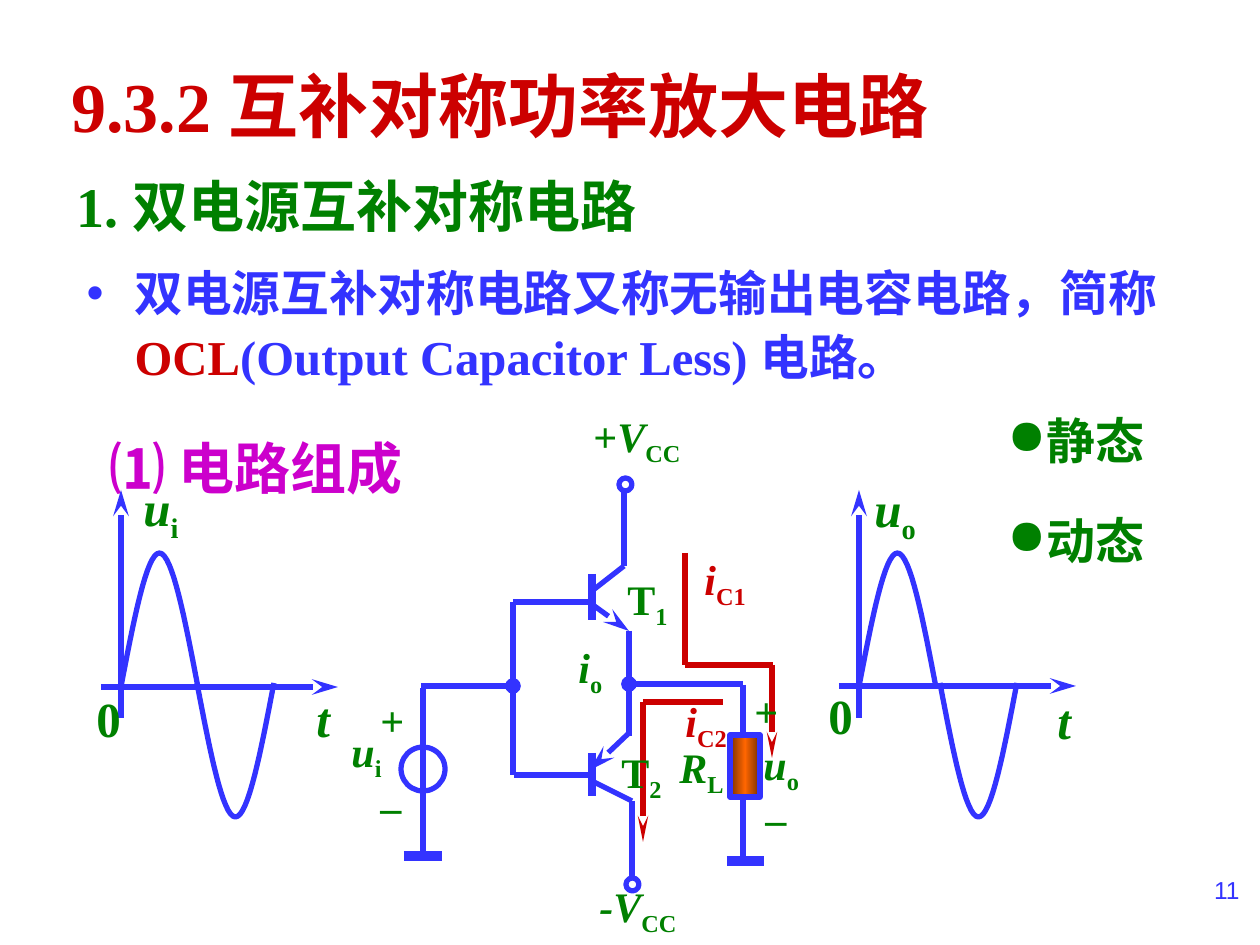
"""Build the slide on the complementary symmetric (OCL) power amplifier circuit."""
from copy import deepcopy

from lxml.etree import SubElement
from pptx import Presentation
from pptx.dml.color import RGBColor
from pptx.enum.shapes import MSO_CONNECTOR as CONNECTOR, MSO_SHAPE as SHAPE
from pptx.enum.text import MSO_ANCHOR as ANCHOR, MSO_AUTO_SIZE as AUTO_SIZE, PP_ALIGN as ALIGN
from pptx.oxml.ns import qn
from pptx.util import Emu, Pt

PX = 914400 / 126
BLUE = RGBColor(0x33, 0x33, 0xFF)
GREEN = RGBColor(0x00, 0x80, 0x00)
RED = RGBColor(0xCC, 0x00, 0x00)
PURPLE = RGBColor(0xCC, 0x00, 0xCC)
WHITE = RGBColor(0xFF, 0xFF, 0xFF)
BROWN = RGBColor(0x76, 0x2F, 0x00)
ORANGE = RGBColor(0xFF, 0x66, 0x00)

TITLE = ((64, 145, 1071, 120), "1. 双电源互补对称电路")
BODY = ((74, 251, 1134, 142), [
    ("双电源互补对称电路又称无输出电容电路，简称", BLUE),
    ("OCL", RED),
    ("(Output Capacitor Less) 电路。", BLUE),
])
HEADINGS = [
    ((59, 26, 1071, 158), "9.3.2 互补对称功率放大电路", 40, RED),
    ((97, 423, 546, 88), "⑴ 电路组成", 32, PURPLE),
]
STATES = [((995, 404, 217, 72), "静态"), ((995, 504, 236, 72), "动态")]
PAGE_NUMBER = ((958, 869, 294, 66), "11")

PLAIN, ITALIC, SUB = {}, {"italic": True}, {"subscript": True}
WAVES = [
    {"origin": (121, 687), "axis_y": 687, "second_half": 197,
     "labels": [((131, 471, 77, 81), [("u", ITALIC), ("i", SUB)]),
                ((84, 682, 71, 58), [("0", PLAIN)]),
                ((304, 682, 59, 64), [("t", ITALIC)])]},
    {"origin": (859, 687), "axis_y": 686, "second_half": 940,
     "labels": [((862, 472, 77, 72), [("u", ITALIC), ("o", SUB)]),
                ((816, 679, 71, 63), [("0", PLAIN)]),
                ((1045, 684, 53, 59), [("t", ITALIC)])]},
]
HALF_WIDTH, AMPLITUDE, STEPS = 77, 134, 16

ARROW, SLIM_ARROW, DOT = ("stealth", "med", "lg"), ("stealth", "sm", "lg"), ("oval", "med", "med")
CIRCUIT_WIRES = [
    ((513, 602), (592, 602), 3, None),
    ((592, 574), (592, 620), 4.5, None),
    ((592, 591), (624, 566), 3, None),
    ((593, 605), (629, 631), 3, ARROW),
    ((624, 566), (624, 488), 3, None),
    ((629, 631), (629, 736), 3, None),
    ((592, 753), (592, 796), 4.5, None),
    ((629, 733), (590, 770), 3, ARROW),
    ((592, 781), (632, 801), 3, None),
    ((632, 801), (632, 879), 3, None),
    ((592, 775), (514, 775), 3, None),
    ((513, 775), (513, 602), 3, None),
    ((421, 686), (513, 686), 3, DOT),
    ((423, 688), (423, 858), 3, None),
    ((404, 856), (442, 856), 6, None),
    ((743, 684), (629, 684), 3, DOT),
    ((743, 685), (743, 861), 3, None),
    ((727, 861), (764, 861), 6, None),
]
CURRENT_PATHS = [
    ((685, 553), (685, 665), 3, None),
    ((685, 665), (773, 665), 3, None),
    ((772, 665), (772, 758), 3, SLIM_ARROW),
    ((643, 702), (723, 702), 3, None),
    ((643, 702), (643, 842), 3, SLIM_ARROW),
]
TERMINALS = [(619, 478, 13, 13), (626, 878, 13, 13)]
SOURCE = (401, 747, 44, 44)
LOAD = (730, 735, 30, 62)
LOAD_STOPS = [(0, BROWN), (0.5, ORANGE), (1, BROWN)]
CIRCUIT_LABELS = [
    ((581, 404, 147, 68), [("+", PLAIN), ("V", ITALIC), ("CC", SUB)], GREEN),
    ((587, 874, 181, 71), [("-V", ITALIC), ("CC", SUB)], GREEN),
    ((339, 719, 81, 87), [("u", ITALIC), ("i", SUB)], GREEN),
    ((751, 732, 71, 68), [("u", ITALIC), ("o", SUB)], GREEN),
    ((615, 567, 93, 76), [("T", PLAIN), ("1", SUB)], GREEN),
    ((566, 635, 86, 71), [("i", ITALIC), ("o", SUB)], GREEN),
    ((609, 740, 108, 78), [("T", PLAIN), ("2", SUB)], GREEN),
    ((667, 735, 88, 78), [("R", ITALIC), ("L", SUB)], GREEN),
    ((368, 688, 108, 66), [("+", PLAIN)], GREEN),
    ((742, 679, 83, 53), [("+", PLAIN)], GREEN),
    ((368, 760, 71, 79), [("_", PLAIN)], GREEN),
    ((753, 772, 62, 86), [("_", PLAIN)], GREEN),
    ((692, 547, 87, 86), [("i", ITALIC), ("C1", SUB)], RED),
    ((673, 689, 79, 68), [("i", ITALIC), ("C2", SUB)], RED),
]


def emu(*lengths):
    return [Emu(round(length * PX)) for length in lengths]


def set_values(target, values):
    for name, value in values.items():
        setattr(target, name, value)


def place(shape, box):
    set_values(shape, dict(zip(("left", "top", "width", "height"), emu(*box))))


def add_run(paragraph, text, size, color, style=PLAIN, bold=True, name="Times New Roman"):
    run = paragraph.add_run()
    run.text = text
    set_values(run.font, {"size": Pt(size), "bold": bold, "name": name,
                          "italic": style.get("italic", False)})
    run.font.color.rgb = color
    if style.get("subscript"):
        run.font._element.set("baseline", "-25000")


def add_bullet(paragraph, character, color, indent=0):
    properties = paragraph._p.get_or_add_pPr()
    margin = emu(indent)[0]
    properties.set("marL", str(margin))
    properties.set("indent", str(-margin))
    SubElement(SubElement(properties, qn("a:buClr")), qn("a:srgbClr"), val=str(color))
    SubElement(properties, qn("a:buChar"), char=character)


def format_frame(shape, anchor=ANCHOR.TOP):
    frame = shape.text_frame
    set_values(frame, {"word_wrap": True, "auto_size": AUTO_SIZE.NONE, "vertical_anchor": anchor})
    frame.paragraphs[0].alignment = ALIGN.LEFT
    return frame.paragraphs[0]


def add_text(slide, box, runs, size, color, anchor=ANCHOR.TOP):
    paragraph = format_frame(slide.shapes.add_textbox(*emu(*box)), anchor)
    for text, style in runs:
        add_run(paragraph, text, size, color, style)


def add_wire(slide, start, end, width, ending, color=BLUE):
    wire = slide.shapes.add_connector(CONNECTOR.STRAIGHT, *emu(*start, *end))
    wire.line.color.rgb = color
    wire.line.width = Pt(width)
    properties = wire._element.spPr
    if ending:
        SubElement(properties.find(qn("a:ln")), qn("a:tailEnd"),
                   dict(zip(("type", "w", "len"), ending)))
    SubElement(properties, qn("a:effectLst"))


def outline(shape):
    shape.shadow.inherit = False
    shape.line.color.rgb = BLUE
    shape.line.width = Pt(3)


def add_half_wave(slide, left, base, direction):
    points = []
    for step in range(2 * STEPS + 1):
        rise = 1 - abs(1 - step / STEPS)
        height = AMPLITUDE * (1.5 * rise - 0.5 * rise ** 3)
        points.append(emu(left + HALF_WIDTH * step / (2 * STEPS), base + direction * height))
    builder = slide.shapes.build_freeform(*points[0])
    builder.add_line_segments(points[1:], close=False)
    curve = builder.convert_to_shape()
    curve.fill.background()
    outline(curve)


def add_wave(slide, wave):
    x, y = wave["origin"]
    axis_y = wave["axis_y"]
    add_half_wave(slide, x, y, -1)
    add_half_wave(slide, wave["second_half"], y - 4, 1)
    add_wire(slide, (x, y + 31), (x, 490), 3, ARROW)
    add_wire(slide, (x - 20, axis_y), (x + 217, axis_y), 3, ARROW)
    for box, runs in wave["labels"]:
        add_text(slide, box, runs, 28, GREEN)


def add_circuit(slide):
    for wire in CIRCUIT_WIRES:
        add_wire(slide, *wire)
    for box in TERMINALS + [SOURCE]:
        ring = slide.shapes.add_shape(SHAPE.OVAL, *emu(*box))
        if box == SOURCE:
            ring.fill.background()
        else:
            ring.fill.solid()
            ring.fill.fore_color.rgb = WHITE
        outline(ring)
    load = slide.shapes.add_shape(SHAPE.RECTANGLE, *emu(*LOAD))
    outline(load)
    load.fill.gradient()
    load.fill.gradient_angle = 0
    stop_list = load._element.spPr.find(qn("a:gradFill")).find(qn("a:gsLst"))
    stop_list.append(deepcopy(stop_list[0]))
    for stop, (position, color) in zip(load.fill.gradient_stops, LOAD_STOPS):
        stop.position = position
        stop.color.rgb = color
    for wire in CURRENT_PATHS:
        add_wire(slide, *wire, RED)
    for box, runs, color in CIRCUIT_LABELS:
        add_text(slide, box, runs, 24, color)


def main():
    presentation = Presentation()
    presentation.slide_width, presentation.slide_height = emu(1260, 945)
    slide = presentation.slides.add_slide(presentation.slide_layouts[1])
    title, body = slide.placeholders
    place(title, TITLE[0])
    add_run(format_frame(title, ANCHOR.MIDDLE), TITLE[1], 32, GREEN)
    place(body, BODY[0])
    paragraph = format_frame(body)
    set_values(paragraph, {"line_spacing": 1.1, "space_before": Pt(0)})
    add_bullet(paragraph, "•", BLUE, 48)
    for text, color in BODY[1]:
        add_run(paragraph, text, 27.8, color)
    for box, text, size, color in HEADINGS:
        add_text(slide, box, [(text, PLAIN)], size, color, ANCHOR.MIDDLE)
    for wave in WAVES:
        add_wave(slide, wave)
    add_circuit(slide)
    for box, text in STATES:
        paragraph = format_frame(slide.shapes.add_textbox(*emu(*box)))
        add_bullet(paragraph, "●", GREEN)
        add_run(paragraph, text, 28, GREEN)
    box, text = PAGE_NUMBER
    paragraph = format_frame(slide.shapes.add_textbox(*emu(*box)))
    paragraph.alignment = ALIGN.RIGHT
    add_run(paragraph, text, 14, BLUE, bold=False, name="Arial")
    presentation.save("out.pptx")


if __name__ == "__main__":
    main()
